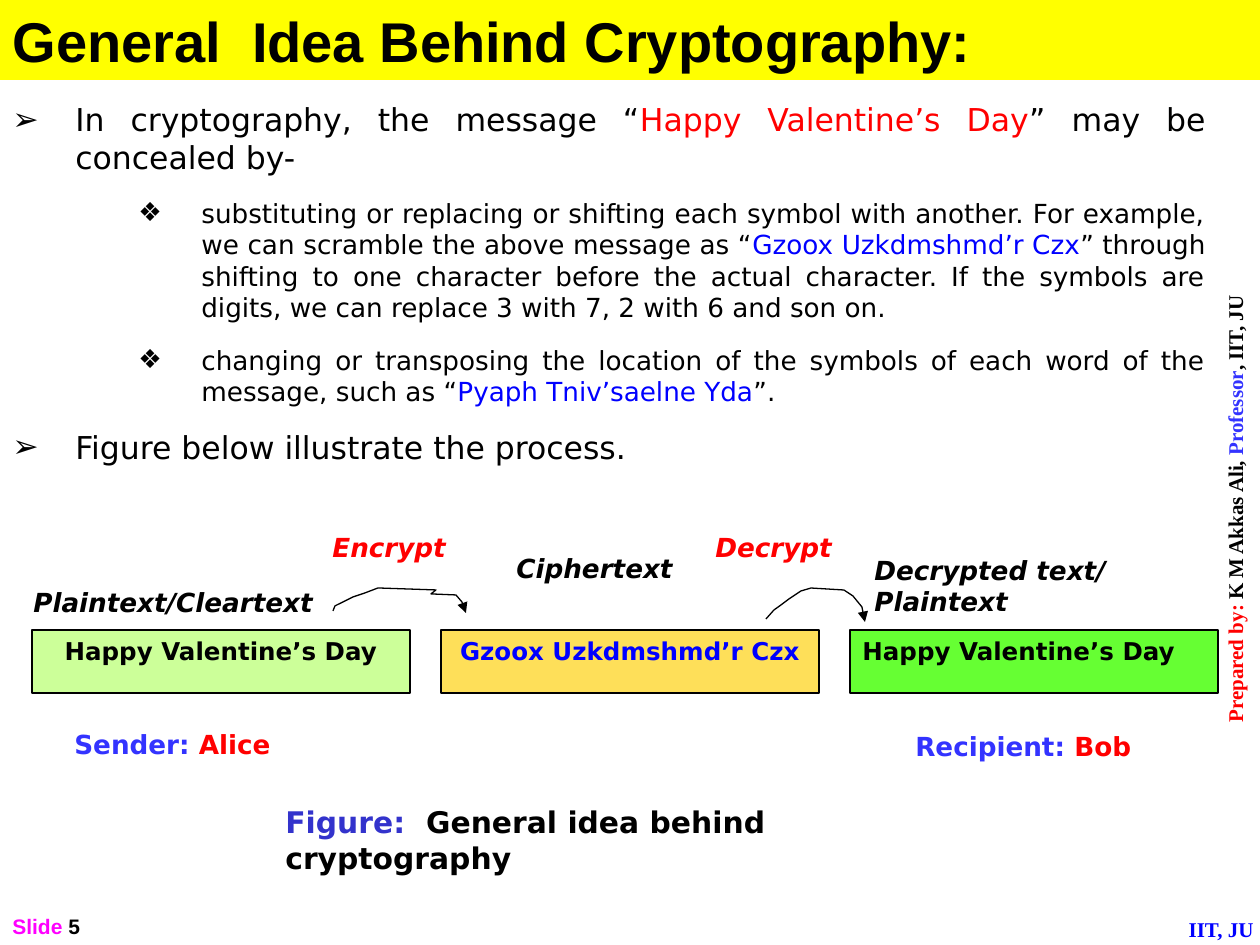
import pptx
import pptx.dml.color
import pptx.enum.shapes
import pptx.enum.text
import pptx.oxml
import pptx.oxml.ns
import pptx.util

SCALE = 7257.6  # EMU in one px, at 126 px to the inch
BODY_FONT = "DejaVu Sans"
COLOURS = {
    "black": "000000", "red": "FF0000", "blue": "0000FF", "violet": "3333FF",
    "indigo": "3333CC", "magenta": "FF00FF", "yellow": "FFFF00",
    "pale green": "CCFF99", "amber": "FEDF59", "green": "66FF33",
}
ALIGN = pptx.enum.text.PP_ALIGN
ANCHOR = pptx.enum.text.MSO_ANCHOR


def emu(px):
    return pptx.util.Emu(round(px * SCALE))


def colour(name):
    return pptx.dml.color.RGBColor.from_string(COLOURS[name])


def element(tag, **attributes):
    node = pptx.oxml.parse_xml(f"<a:{tag} {pptx.oxml.ns.nsdecls('a')}/>")
    for key, value in attributes.items():
        node.set(key, str(value))
    return node


def write(para, spans, size=15, font=BODY_FONT, bold=True, italic=False,
          align=ALIGN.LEFT):
    """Fill a paragraph with (text, colour name) spans of one format."""
    para.alignment = align
    for text, name in spans:
        span = para.add_run()
        span.text = text
        span.font.name = font
        span.font.size = pptx.util.Pt(size)
        span.font.bold = bold
        span.font.italic = italic
        span.font.color.rgb = colour(name)


def add_bullet(para, mark, indent, hang=63):
    properties = para._p.get_or_add_pPr()
    properties.set("marL", str(emu(indent)))
    properties.set("indent", str(emu(-hang)))
    properties.append(element("buFont", typeface=BODY_FONT))
    properties.append(element("buChar", char=mark))


class SlideBuilder:
    def __init__(self, deck):
        self.page = deck.slides.add_slide(deck.slide_layouts[5])

    def title(self, text, left, top, width, height):
        box = self.page.shapes.title
        box.left, box.top, box.width, box.height = map(emu, (left, top, width, height))
        box.fill.solid()
        box.fill.fore_color.rgb = colour("yellow")
        frame = box.text_frame
        frame.auto_size = pptx.enum.text.MSO_AUTO_SIZE.NONE
        frame.vertical_anchor = ANCHOR.TOP
        write(frame.paragraphs[0], [(text, "black")], size=32, font="Arial")

    def frame(self, left, top, width, height, wrap=True, anchor=ANCHOR.TOP):
        box = self.page.shapes.add_textbox(*map(emu, (left, top, width, height)))
        box.text_frame.word_wrap = wrap
        box.text_frame.vertical_anchor = anchor
        return box.text_frame

    def label(self, spans, left, top, width, height, wrap=True,
              anchor=ANCHOR.TOP, vertical=False, **style):
        frame = self.frame(left, top, width, height, wrap, anchor)
        if vertical:
            frame._txBody.bodyPr.set("vert", "vert270")
        write(frame.paragraphs[0], spans, **style)

    def bullets(self, items, left, top, width, height):
        """Write (level, spans) items as a justified list."""
        levels = [("➢", 63, 18), ("❖", 189, 15)]
        frame = self.frame(left, top, width, height, anchor=ANCHOR.MIDDLE)
        for index, (level, spans) in enumerate(items):
            mark, indent, size = levels[level]
            para = frame.add_paragraph() if index else frame.paragraphs[0]
            para.space_before = para.space_after = pptx.util.Pt(6)
            write(para, spans, size=size, bold=False, align=ALIGN.JUSTIFY)
            add_bullet(para, mark, indent)

    def message(self, text, left, top, width, height, fill, ink, align):
        box = self.page.shapes.add_shape(
            pptx.enum.shapes.MSO_SHAPE.RECTANGLE, *map(emu, (left, top, width, height)))
        box.shadow.inherit = False
        box.fill.solid()
        box.fill.fore_color.rgb = colour(fill)
        self.outline(box)
        box.text_frame.vertical_anchor = ANCHOR.TOP
        write(box.text_frame.paragraphs[0], [(text, ink)], size=14, align=align)

    def outline(self, shape):
        shape.line.color.rgb = colour("black")
        shape.line.width = pptx.util.Pt(0.75)

    def curved_arrow(self, points):
        builder = self.page.shapes.build_freeform(*points[0], scale=SCALE)
        builder.add_line_segments(points[1:], close=False)
        arrow = builder.convert_to_shape()
        arrow.shadow.inherit = False
        arrow.fill.background()
        self.outline(arrow)
        arrow.line._get_or_add_ln().append(element("tailEnd", type="triangle"))


def main():
    deck = pptx.Presentation()
    deck.slide_width, deck.slide_height = emu(1260), emu(945)
    slide = SlideBuilder(deck)

    slide.title("General  Idea Behind Cryptography:", 0, 0, 1260, 80)
    slide.label([("Prepared by:", "red"), (" K M Akkas Ali, ", "black"),
                 ("Professor", "violet"), (", IIT, JU", "black")],
                1216, 73, 50, 872, vertical=True, size=12,
                font="Times New Roman", align=ALIGN.CENTER)
    slide.label([("IIT, JU", "blue")], 1119, 910, 147, 38, size=12,
                font="Times New Roman", align=ALIGN.RIGHT)
    slide.label([("Slide ", "magenta"), ("5", "black")], 0, 882, 262, 63,
                anchor=ANCHOR.BOTTOM, size=12, font="Arial")

    slide.bullets([
        (0, [("In cryptography, the message “", "black"),
             ("Happy Valentine’s Day", "red"),
             ("” may be concealed by-", "black")]),
        (1, [("substituting or replacing or shifting each symbol with another. "
              "For example, we can scramble the above message as “", "black"),
             ("Gzoox Uzkdmshmd’r Czx", "blue"),
             ("” through shifting to one character before the actual character. "
              "If the symbols are digits, we can replace 3 with 7, 2 with 6 "
              "and son on.", "black")]),
        (1, [("changing or transposing the location of the symbols of each word "
              "of the message, such as “", "black"),
             ("Pyaph Tniv’saelne Yda", "blue"), ("”.", "black")]),
        (0, [("Figure below illustrate the process.", "black")]),
    ], 0, 92, 1218, 382)

    messages = [
        ("Happy Valentine’s Day", 378, "pale green", "black", ALIGN.CENTER),
        ("Gzoox Uzkdmshmd’r Czx", 378, "amber", "blue", ALIGN.CENTER),
        ("Happy Valentine’s Day", 368, "green", "black", ALIGN.LEFT),
    ]
    for index, (text, width, fill, ink, align) in enumerate(messages):
        slide.message(text, 32 + 409 * index, 630, width, 63, fill, ink, align)

    for text, name, left, top, width in [
        ("Plaintext/Cleartext", "black", 21, 580, 325),
        ("Ciphertext", "black", 504, 546, 189),
        ("Decrypted text/ Plaintext", "black", 862, 548, 262),
        ("Encrypt", "red", 320, 525, 184),
        ("Decrypt", "red", 703, 525, 154),
    ]:
        slide.label([(text, name)], left, top, width, 63, italic=True)

    slide.curved_arrow([(333, 611), (335, 606), (343, 602), (353, 597), (365, 593),
                        (378, 588), (436, 590), (431, 594), (456, 595), (462, 602),
                        (466, 613)])
    slide.curved_arrow([(766, 619), (774, 610), (781, 605), (789, 599), (801, 591),
                        (811, 588), (844, 590), (853, 596), (862, 607), (865, 622)])

    slide.label([("Sender: ", "violet"), ("Alice", "red")], 62, 722, 222, 44, wrap=False)
    slide.label([("Recipient: ", "violet"), ("Bob", "red")], 903, 724, 249, 44, wrap=False)
    slide.label([("Figure:  ", "indigo"), ("General idea behind cryptography", "black")],
                273, 798, 640, 84, size=17)

    deck.save("out.pptx")


if __name__ == "__main__":
    main()
